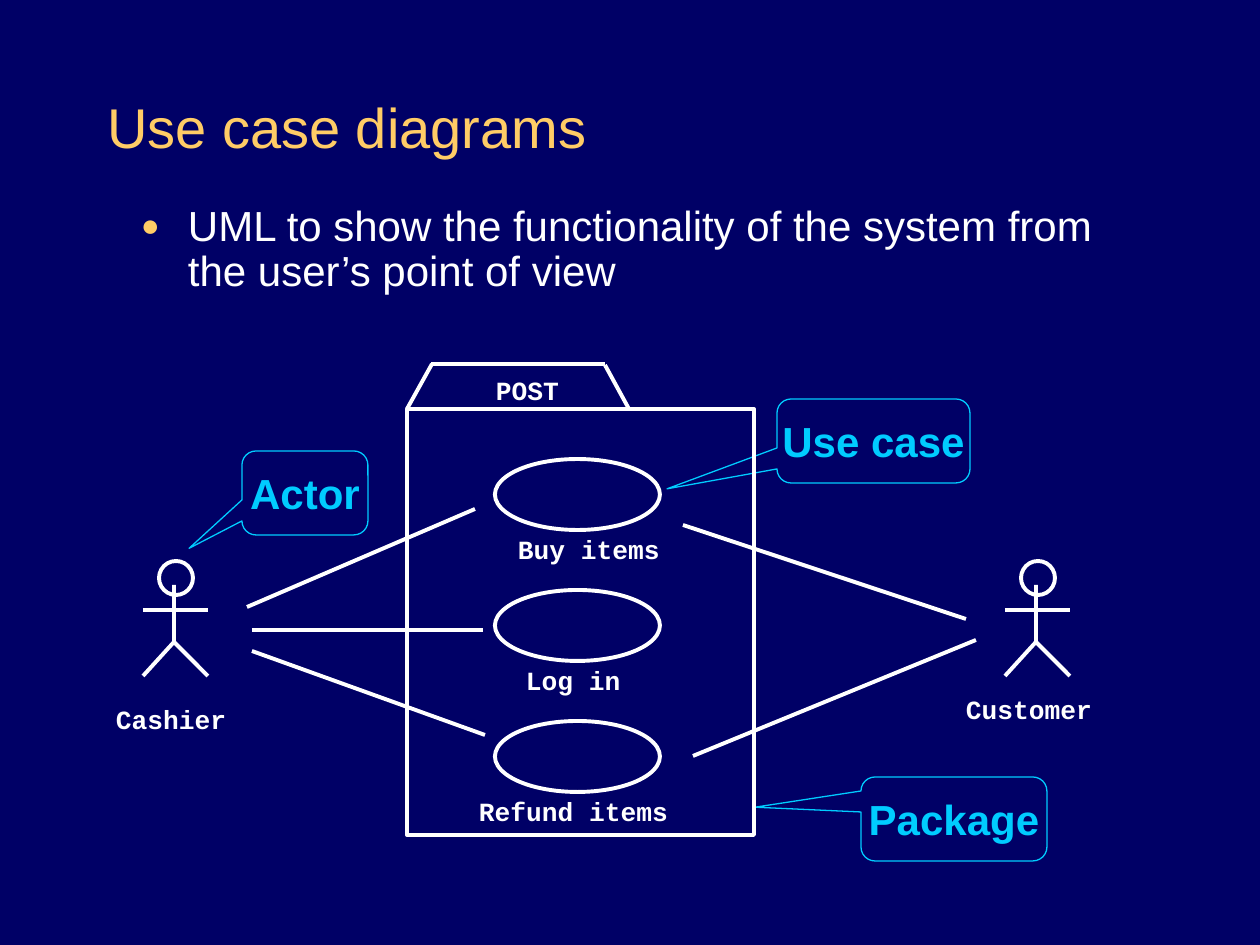
from lxml import etree
from pptx import Presentation
from pptx.dml.color import RGBColor
from pptx.enum.shapes import MSO_CONNECTOR, MSO_SHAPE
from pptx.enum.text import MSO_ANCHOR, MSO_AUTO_SIZE, PP_ALIGN
from pptx.oxml.ns import qn
from pptx.util import Inches, Pt

PX = 7257  # EMU in one px, 126 px to the inch
NAVY, GOLD, WHITE, CYAN = "000066", "FFCC66", "FFFFFF", "00CCFF"
OVAL, RECTANGLE = MSO_SHAPE.OVAL, MSO_SHAPE.RECTANGLE
CALLOUT = MSO_SHAPE.ROUNDED_RECTANGULAR_CALLOUT
STRAIGHT = MSO_CONNECTOR.STRAIGHT
LEFT, CENTER = PP_ALIGN.LEFT, PP_ALIGN.CENTER
TOP, MIDDLE = MSO_ANCHOR.TOP, MSO_ANCHOR.MIDDLE
NO_AUTOFIT = MSO_AUTO_SIZE.NONE


def write(frame, text, size, color, font="Arial", bold=False, align=LEFT,
          anchor=TOP, wrap=True, margin=13):
    """Format the frame and add one run to its first paragraph."""
    frame.auto_size = NO_AUTOFIT
    frame.word_wrap = wrap
    frame.vertical_anchor = anchor
    frame.margin_left = frame.margin_right = margin * PX
    frame.margin_top = frame.margin_bottom = min(margin, 6) * PX
    para = frame.paragraphs[0]
    para.alignment = align
    span = para.add_run()
    span.text = text
    span.font.name = font
    span.font.size = Pt(size)
    span.font.bold = bold
    span.font.color.rgb = RGBColor.from_string(color)
    return para


def outline(shape, color=WHITE, weight=2.25):
    """Leave the shape hollow, with a plain line and no shadow."""
    shape.shadow.inherit = False
    shape.fill.background()
    shape.line.color.rgb = RGBColor.from_string(color)
    shape.line.width = Pt(weight)


deck = Presentation()
deck.slide_width, deck.slide_height = Inches(10), Inches(7.5)
slide = deck.slides.add_slide(deck.slide_layouts[1])
slide.background.fill.solid()
slide.background.fill.fore_color.rgb = RGBColor.from_string(NAVY)
shapes = slide.shapes

# Title and bullet
title, body = slide.placeholders
for holder, (left, top, width, height) in (
    (title, (94, 84, 1114, 84)),
    (body, (116, 199, 1061, 130)),
):
    holder.left, holder.top = left * PX, top * PX
    holder.width, holder.height = width * PX, height * PX
write(title.text_frame, "Use case diagrams", 32, GOLD, anchor=MIDDLE)
bullet = write(
    body.text_frame,
    "UML to show the functionality of the system from the user’s point of view",
    24, WHITE, margin=25)
bullet.line_spacing = 0.9
bullet.space_before = Pt(6)
properties = bullet._p.get_or_add_pPr()
properties.set("marL", str(47 * PX))
properties.set("indent", str(-47 * PX))
bullet_color = etree.SubElement(properties, qn("a:buClr"))
etree.SubElement(bullet_color, qn("a:srgbClr"), val=GOLD)
etree.SubElement(properties, qn("a:buSzPct"), val="75000")
etree.SubElement(properties, qn("a:buFont"), typeface="Arial")
etree.SubElement(properties, qn("a:buChar"), char="●")

# Callouts: name, box, pointer offset from the centre
for name, box, pointer in (
    ("Actor", (242, 451, 126, 84), (-0.92, 0.66)),
    ("Use case", (777, 399, 193, 84), (-1.07, 0.57)),
    ("Package", (861, 777, 186, 84), (-1.07, -0.14)),
):
    callout = shapes.add_shape(CALLOUT, *(PX * value for value in box))
    callout.adjustments[0], callout.adjustments[1] = pointer
    outline(callout, CYAN, 0.75)
    write(callout.text_frame, name, 24, CYAN, bold=True, align=CENTER,
          anchor=MIDDLE, wrap=False)

# Package body, use cases and actors
package = shapes.add_shape(RECTANGLE, 407 * PX, 409 * PX, 347 * PX, 426 * PX)
outline(package)

for row in range(3):
    use_case = shapes.add_shape(
        OVAL, 495 * PX, (459 + 131 * row) * PX, 165 * PX, 71 * PX)
    outline(use_case)

lines = [
    # Package tab
    (407, 409, 432, 364), (431, 364, 605, 364), (629, 409, 605, 365),
    # Cashier to use cases
    (247, 607, 475, 509), (252, 630, 483, 630), (252, 651, 485, 735),
    # Customer to use cases
    (683, 525, 966, 619), (693, 756, 976, 640),
]
for center in (174, 1036):
    head = shapes.add_shape(
        OVAL, (center - 15) * PX, 561 * PX, 34 * PX, 34 * PX)
    outline(head)
    builder = shapes.build_freeform(center, 585, scale=PX)
    builder.add_line_segments([(center, 642), (center - 31, 676)], close=False)
    outline(builder.convert_to_shape())
    lines.append((center, 642, center + 34, 676))
    lines.append((center - 31, 610, center + 34, 610))

for ends in lines:
    connector = shapes.add_connector(STRAIGHT, *(PX * value for value in ends))
    connector.line.color.rgb = RGBColor.from_string(WHITE)
    connector.line.width = Pt(2.25)
    etree.SubElement(connector.element.spPr, qn("a:effectLst"))

# Labels: text, left, top, width
for text, left, top, width in (
    ("POST", 496, 374, 63),
    ("Buy items", 518, 533, 142),
    ("Log in", 526, 664, 94),
    ("Refund items", 479, 795, 189),
    ("Cashier", 116, 703, 110),
    ("Customer", 966, 693, 126),
):
    label = shapes.add_textbox(left * PX, top * PX, width * PX, 31 * PX)
    write(label.text_frame, text, 15, WHITE, font="Courier New", bold=True,
          wrap=False, margin=0)

deck.save("out.pptx")
